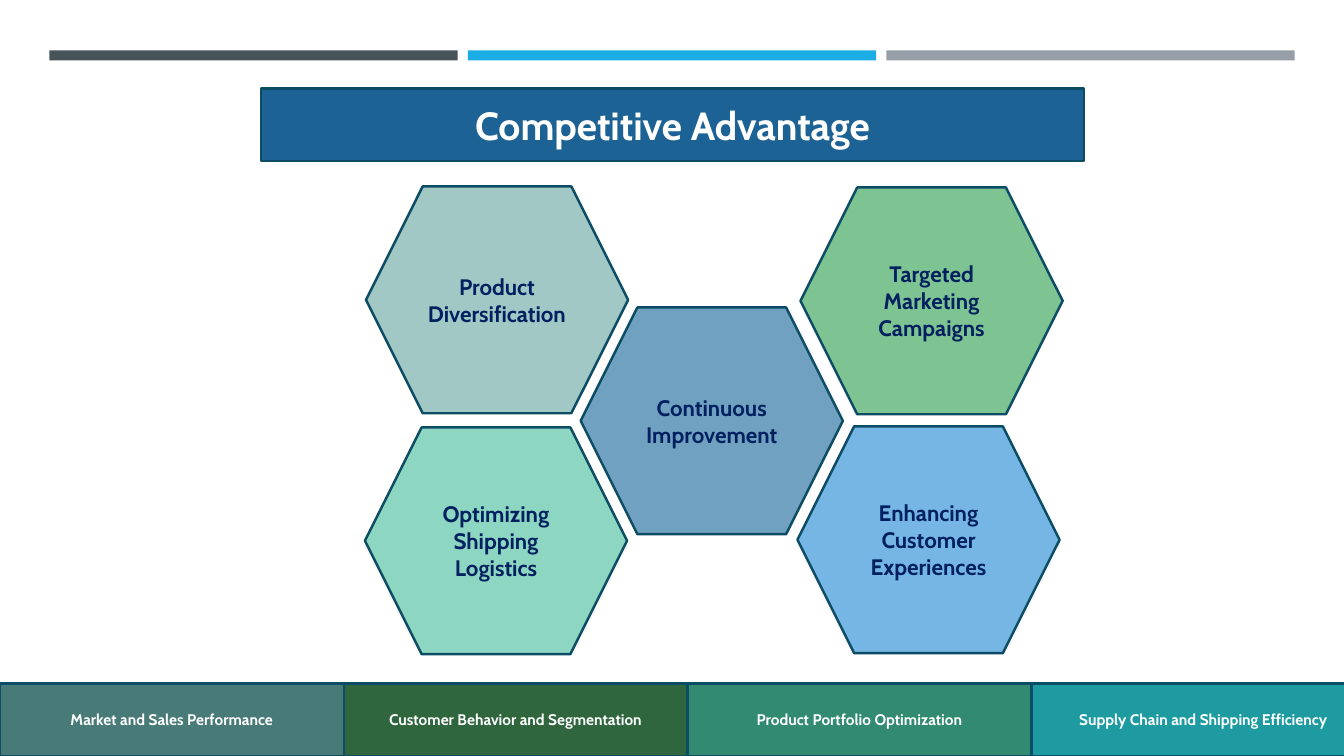
from dataclasses import dataclass

from pptx import Presentation
from pptx import util as u
from pptx.dml import color
from pptx.enum import shapes, text


@dataclass(frozen=True)
class Theme:
    font: str = "Cabin"
    title_size: int = 28
    advantage_size: int = 16
    footer_size: int = 11
    outline_width: float = 1.75
    outline: str = "0C4C64"
    light_text: str = "FFFFFF"
    dark_text: str = "002060"
    stripes: tuple = ("465359", "1CADE4", "969FA7")
    title_fill: str = "1D6294"
    market: str = "487B78"
    customer: str = "2F663E"
    portfolio: str = "328B71"
    supply: str = "1D9BA1"
    experiences: str = "75B6E5"
    logistics: str = "8DD6C1"
    campaigns: str = "7EC492"
    diversification: str = "A1C8C5"
    improvement: str = "70A1C0"


class SlideBuilder:
    def __init__(self, slide, theme):
        self.slide = slide
        self.theme = theme

    def _shape(self, preset, box, fill):
        shape = self.slide.shapes.add_shape(preset, *map(u.Inches, box))
        shape.shadow.inherit = False
        shape.fill.solid()
        shape.fill.fore_color.rgb = color.RGBColor.from_string(fill)
        return shape

    def stripe(self, box, fill):
        self._shape(shapes.MSO_SHAPE.RECTANGLE, box, fill).line.fill.background()

    def hexagon(self, box, fill, label, size, ink):
        hexagon = self._shape(shapes.MSO_SHAPE.HEXAGON, box, fill)
        hexagon.line.color.rgb = color.RGBColor.from_string(self.theme.outline)
        hexagon.line.width = u.Pt(self.theme.outline_width)
        frame = hexagon.text_frame
        frame.word_wrap = True
        frame.vertical_anchor = text.MSO_ANCHOR.MIDDLE
        frame.text = label
        paragraph = frame.paragraphs[0]
        paragraph.alignment = text.PP_ALIGN.CENTER
        paragraph.font.name = self.theme.font
        paragraph.font.size = u.Pt(size)
        paragraph.font.bold = True
        paragraph.font.color.rgb = color.RGBColor.from_string(ink)
        return hexagon

    def banner(self, box, fill, label, size):
        banner = self.hexagon(box, fill, label, size, self.theme.light_text)
        banner.adjustments[0] = 0

    def advantage(self, left, top, fill, label):
        self.hexagon((left, top, 2.6, 2.25), fill, label,
                     self.theme.advantage_size, self.theme.dark_text)


def main():
    theme = Theme()
    deck = Presentation()
    deck.slide_width, deck.slide_height = u.Inches(13.33), u.Inches(7.5)
    builder = SlideBuilder(deck.slides.add_slide(deck.slide_layouts[6]), theme)

    for column, fill in enumerate(theme.stripes):
        builder.stripe((0.49 + 4.15 * column, 0.5, 4.05, 0.1), fill)

    builder.banner((2.59, 0.88, 8.16, 0.72), theme.title_fill,
                   "Competitive Advantage", theme.title_size)

    topics = [
        ("Market and Sales Performance", theme.market),
        ("Customer Behavior and Segmentation", theme.customer),
        ("Product Portfolio Optimization", theme.portfolio),
        ("Supply Chain and Shipping Efficiency", theme.supply),
    ]
    topic_width = 3.41
    for column, (label, fill) in enumerate(topics):
        builder.banner((topic_width * column, 6.78, topic_width, 0.72),
                       fill, label, theme.footer_size)

    advantages = [
        (7.91, 4.23, theme.experiences, "Enhancing Customer Experiences"),
        (3.62, 4.24, theme.logistics, "Optimizing Shipping Logistics"),
        (7.94, 1.86, theme.campaigns, "Targeted Marketing Campaigns"),
        (3.63, 1.85, theme.diversification, "Product Diversification"),
        (5.76, 3.05, theme.improvement, "Continuous Improvement"),
    ]
    for advantage in advantages:
        builder.advantage(*advantage)

    deck.save("out.pptx")


if __name__ == "__main__":
    main()
